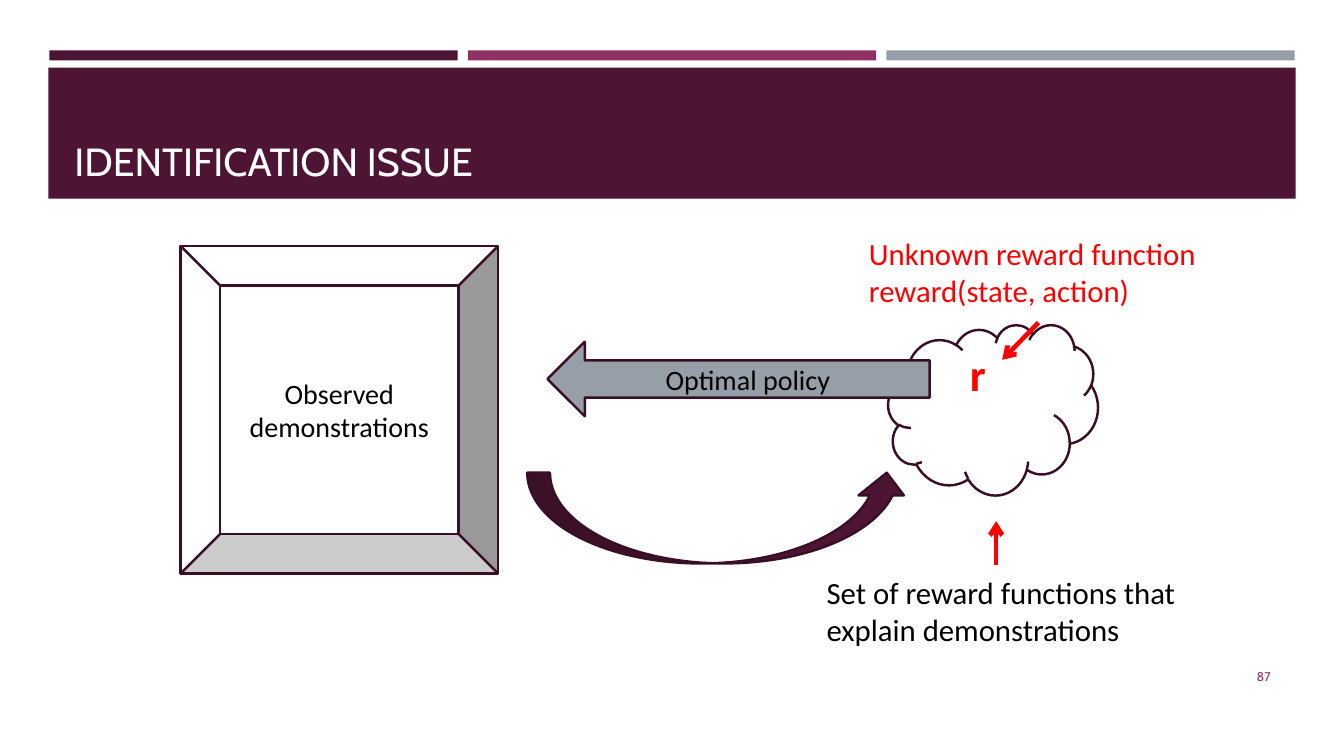
from pptx import Presentation
from pptx.dml.color import RGBColor
from pptx.enum import shapes, text
from pptx.oxml import ns
from pptx.util import Inches, Pt
from lxml import etree

PLUM = RGBColor(0x4D, 0x14, 0x34)
ROSE = RGBColor(0x90, 0x31, 0x63)
GRAY = RGBColor(0x96, 0x9F, 0xA7)
EDGE = RGBColor(0x39, 0x0F, 0x26)
RED = RGBColor(0xFF, 0, 0)
WHITE = RGBColor(0xFF, 0xFF, 0xFF)
BLACK = RGBColor(0, 0, 0)

KIND = shapes.MSO_SHAPE
TOP, MID, LOW = text.MSO_ANCHOR.TOP, text.MSO_ANCHOR.MIDDLE, text.MSO_ANCHOR.BOTTOM
LEFT, MIDDLE, RIGHT = text.PP_ALIGN.LEFT, text.PP_ALIGN.CENTER, text.PP_ALIGN.RIGHT

# Content: top stripes and title band
STRIPES = [PLUM, ROSE, GRAY]
BAND = (0.48, 0.67, 12.37, 1.3)

# Content: outlined shapes (kind, box, fill, label)
PARTS = [
    (KIND.CLOUD, (8.81, 3.22, 2.08, 1.69), WHITE, ""),
    (KIND.BEVEL, (1.79, 2.44, 3.15, 3.25), WHITE, "Observed demonstrations"),
    (KIND.LEFT_ARROW, (5.43, 3.39, 3.79, 0.74), GRAY, "Optimal policy"),
    (KIND.CURVED_UP_ARROW, (5.23, 4.69, 3.79, 0.9), PLUM, ""),
]

# Content: texts (words, box, size, font, color, bold, align, anchor)
NOTES = [
    ("IDENTIFICATION ISSUE", (0.64, 0.77, 12.06, 1.11), 28, "Cabin", WHITE, False, LEFT, LOW),
    ("87", (11.55, 6.51, 1.15, 0.4), 9, "Cabin", ROSE, False, RIGHT, MID),
    ("r", (9.52, 3.39, 0.59, 0.64), 32, "Calibri", RED, True, LEFT, TOP),
    ("Unknown reward function reward(state, action)", (8.52, 2.28, 4.19, 0.84),
     22, "Calibri", RED, False, LEFT, TOP),
    ("Set of reward functions that explain demonstrations", (8.1, 5.64, 4.04, 0.84),
     22, "Calibri", BLACK, False, LEFT, TOP),
]

# Content: red pointers (from x, from y, to x, to y)
POINTERS = [(10.3, 3.2, 9.94, 3.57), (9.88, 5.61, 9.88, 5.17)]


def inches(box):
    return [Inches(n) for n in box]


def add_part(slide, kind, box, fill, edge=None):
    part = slide.shapes.add_shape(kind, *inches(box))
    part.shadow.inherit = False
    part.fill.solid()
    part.fill.fore_color.rgb = fill
    if edge is None:
        part.line.fill.background()
    else:
        part.line.color.rgb = edge
        part.line.width = Pt(1.75)
    return part


def write(shape, words, size, face, color, bold, align, anchor):
    frame = shape.text_frame
    frame.word_wrap = True
    frame.vertical_anchor = anchor
    para = frame.paragraphs[0]
    para.text = words
    para.alignment = align
    font = para.font
    font.size, font.name, font.bold = Pt(size), face, bold
    font.color.rgb = color


def add_pointer(slide, ends):
    line = slide.shapes.add_connector(shapes.MSO_CONNECTOR.STRAIGHT, *inches(ends))
    line.line.color.rgb = RED
    line.line.width = Pt(3.25)
    stroke = line.line._get_or_add_ln()
    etree.SubElement(stroke, ns.qn("a:tailEnd"), type="arrow")
    etree.SubElement(line._element.spPr, ns.qn("a:effectLst"))


def main():
    deck = Presentation()
    deck.slide_width, deck.slide_height = Inches(13.33), Inches(7.5)
    slide = deck.slides.add_slide(deck.slide_layouts[6])

    # Header: three equal stripes above the band
    for i, color in enumerate(STRIPES):
        add_part(slide, KIND.RECTANGLE, (0.49 + 4.15 * i, 0.5, 4.05, 0.1), color)
    add_part(slide, KIND.RECTANGLE, BAND, PLUM)

    # Diagram
    for kind, box, fill, label in PARTS:
        part = add_part(slide, kind, box, fill, EDGE)
        if label:
            write(part, label, 20, "Calibri", BLACK, False, MIDDLE, MID)

    # Title, number and notes
    for words, box, *style in NOTES:
        write(slide.shapes.add_textbox(*inches(box)), words, *style)

    # Pointers
    for ends in POINTERS:
        add_pointer(slide, ends)

    deck.save("out.pptx")


if __name__ == "__main__":
    main()
